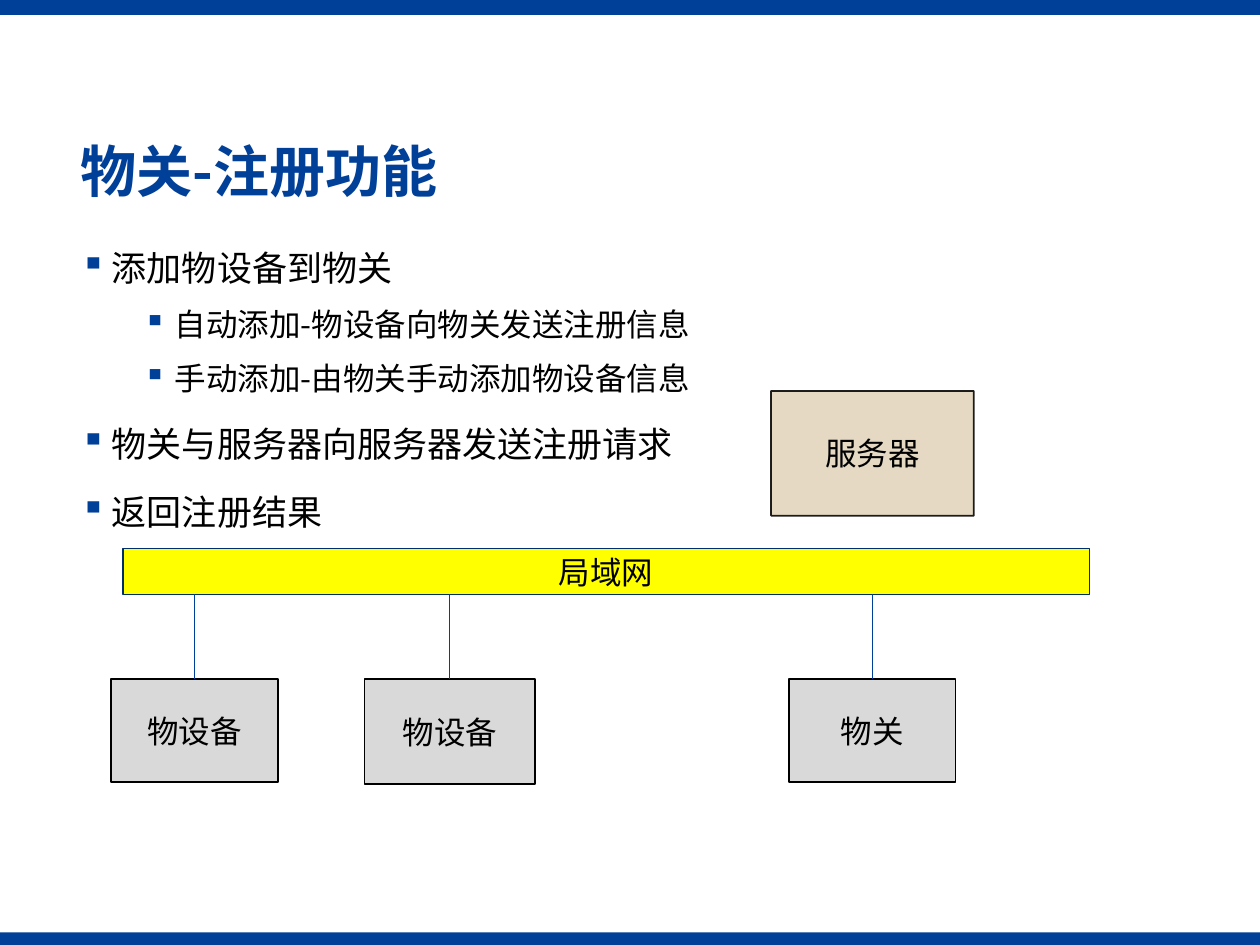
"""Build the slide on the gateway's registration function."""
from dataclasses import dataclass

from lxml.etree import SubElement
from pptx import Presentation
from pptx.dml.color import RGBColor as Color
from pptx.enum.shapes import MSO_CONNECTOR as Connector, MSO_SHAPE as Shape
from pptx.enum.text import MSO_ANCHOR as Anchor, PP_ALIGN as Align
from pptx.oxml.ns import qn
from pptx.util import Pt


@dataclass(frozen=True)
class Theme:
    font: str = "Noto Sans CJK SC"
    blue: str = "004098"
    navy: str = "002F70"
    black: str = "000000"
    yellow: str = "FFFF00"
    grey: str = "D9D9D9"
    sand: str = "E5D9C3"
    title_size: int = 32
    body_sizes: tuple = (20, 18)
    label_size: int = 18


THEME = Theme()
WIDTH, HEIGHT = 720, 540
TITLE = "物关-注册功能"
TITLE_BOX = (38.9, 77, 659.5, 45.4)
BODY_BOX = (38.9, 132.5, 659.5, 387.4)
BULLETS = [
    (0, "添加物设备到物关"),
    (1, "自动添加-物设备向物关发送注册信息"),
    (1, "手动添加-由物关手动添加物设备信息"),
    (0, "物关与服务器向服务器发送注册请求"),
    (0, "返回注册结果"),
]
LEVEL_INDENTS = (18, 54)
LEVEL_SPACES = (10, 5)
BANDS = [(0, 0, WIDTH, 8.6), (0, 532.8, WIDTH, 7.2)]
NETWORK = ("局域网", (70.2, 313.5, 552.4, 26.2))
SERVER = ("服务器", (440.6, 223.4, 115.9, 71.3))
NODE_TOP = 388.1
NODES = [
    ("物设备", 63.3, 95.6, 59),
    ("物设备", 208.3, 97.5, 59.9),
    ("物关", 450.7, 95.3, 58.8),
]


def points(values):
    return [Pt(value) for value in values]


def place(shape, box):
    shape.left, shape.top, shape.width, shape.height = points(box)


def format_runs(paragraph, size, color, bold=False):
    for run in paragraph.runs:
        font = run.font
        font.name, font.size, font.bold = THEME.font, Pt(size), bold
        font.color.rgb = Color.from_string(color)
        east_asian = SubElement(font._element, qn("a:ea"))
        east_asian.set("typeface", THEME.font)


def add_box(slide, box, fill, line=None, text=""):
    shape = slide.shapes.add_shape(Shape.RECTANGLE, *points(box))
    shape.shadow.inherit = False
    shape.fill.solid()
    shape.fill.fore_color.rgb = Color.from_string(fill)
    if line:
        shape.line.color.rgb = Color.from_string(line)
        shape.line.width = Pt(1)
    else:
        shape.line.fill.background()
    if text:
        frame = shape.text_frame
        frame.text = text
        frame.vertical_anchor = Anchor.MIDDLE
        frame.paragraphs[0].alignment = Align.CENTER
        format_runs(frame.paragraphs[0], THEME.label_size, THEME.black)
    return shape


def add_link(slide, x, top, bottom):
    link = slide.shapes.add_connector(Connector.STRAIGHT, *points((x, top, x, bottom)))
    link.line.color.rgb = Color.from_string(THEME.blue)
    link.line.width = Pt(0.5)
    SubElement(link._element.spPr, qn("a:effectLst"))


def add_title(slide):
    title = slide.shapes.title
    place(title, TITLE_BOX)
    frame = title.text_frame
    frame.text = TITLE
    frame.vertical_anchor = Anchor.MIDDLE
    paragraph = frame.paragraphs[0]
    paragraph.alignment = Align.LEFT
    paragraph.line_spacing = 0.9
    format_runs(paragraph, THEME.title_size, THEME.blue, bold=True)


def add_bullets(slide):
    frame = slide.shapes.add_textbox(*points(BODY_BOX)).text_frame
    frame.word_wrap = True
    for index, (level, text) in enumerate(BULLETS):
        paragraph = frame.add_paragraph() if index else frame.paragraphs[0]
        paragraph.text = text
        paragraph.level = level
        properties = paragraph._p.get_or_add_pPr()
        properties.set("marL", str(Pt(LEVEL_INDENTS[level])))
        properties.set("indent", str(-Pt(LEVEL_INDENTS[0])))
        bullet_color = SubElement(properties, qn("a:buClr"))
        SubElement(bullet_color, qn("a:srgbClr")).set("val", THEME.blue)
        SubElement(properties, qn("a:buChar")).set("char", "▪")
        paragraph.line_spacing = 1.2
        if index:
            paragraph.space_before = Pt(LEVEL_SPACES[level])
        format_runs(paragraph, THEME.body_sizes[level], THEME.black)


def add_network(slide):
    label, box = NETWORK
    add_box(slide, box, THEME.yellow, THEME.navy, label)
    network_bottom = box[1] + box[3]
    for label, left, width, height in NODES:
        add_box(slide, (left, NODE_TOP, width, height), THEME.grey, THEME.black, label)
        add_link(slide, left + width / 2, network_bottom, NODE_TOP)
    label, box = SERVER
    server = add_box(slide, box, THEME.sand, THEME.black, label)
    line_color = server.line._ln.find(".//" + qn("a:srgbClr"))
    SubElement(line_color, qn("a:alpha")).set("val", "88000")


def main():
    presentation = Presentation()
    presentation.slide_width, presentation.slide_height = Pt(WIDTH), Pt(HEIGHT)
    slide = presentation.slides.add_slide(presentation.slide_layouts[5])
    for band in BANDS:
        add_box(slide, band, THEME.blue)
    add_bullets(slide)
    add_title(slide)
    add_network(slide)
    presentation.save("out.pptx")


if __name__ == "__main__":
    main()
